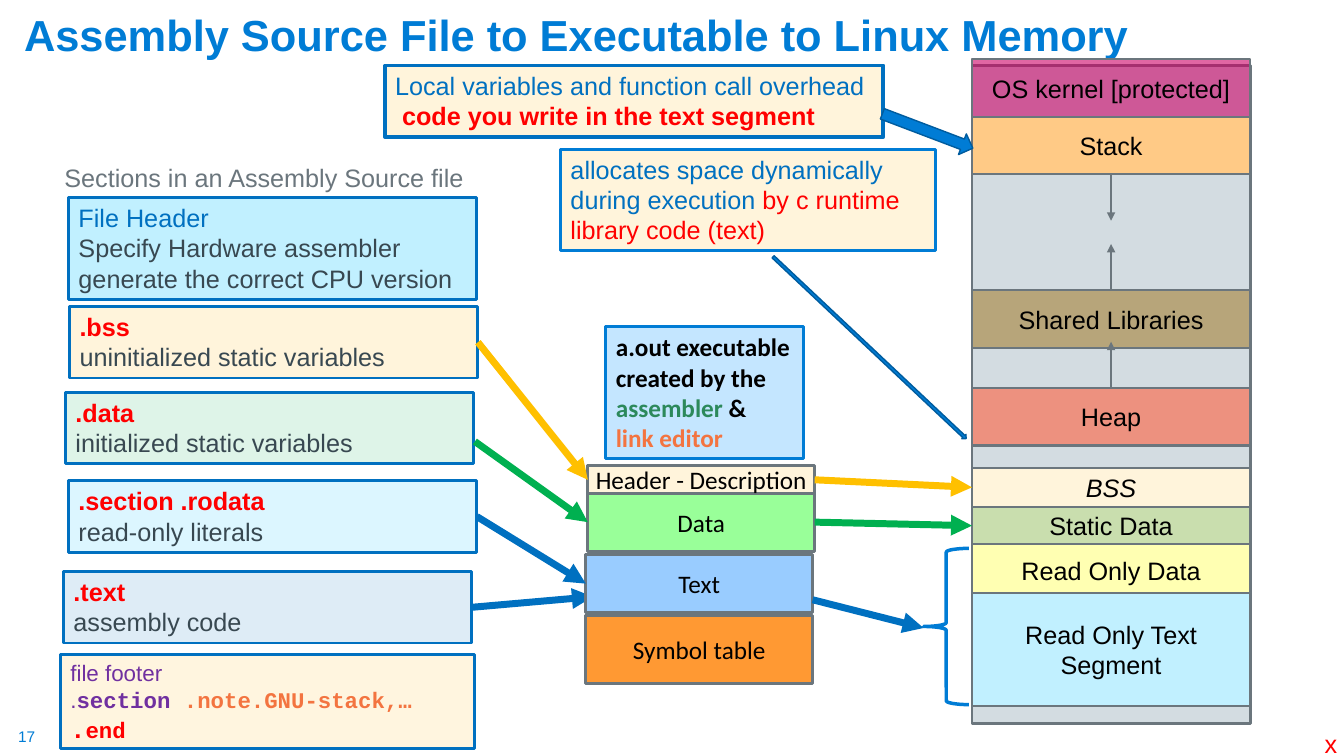
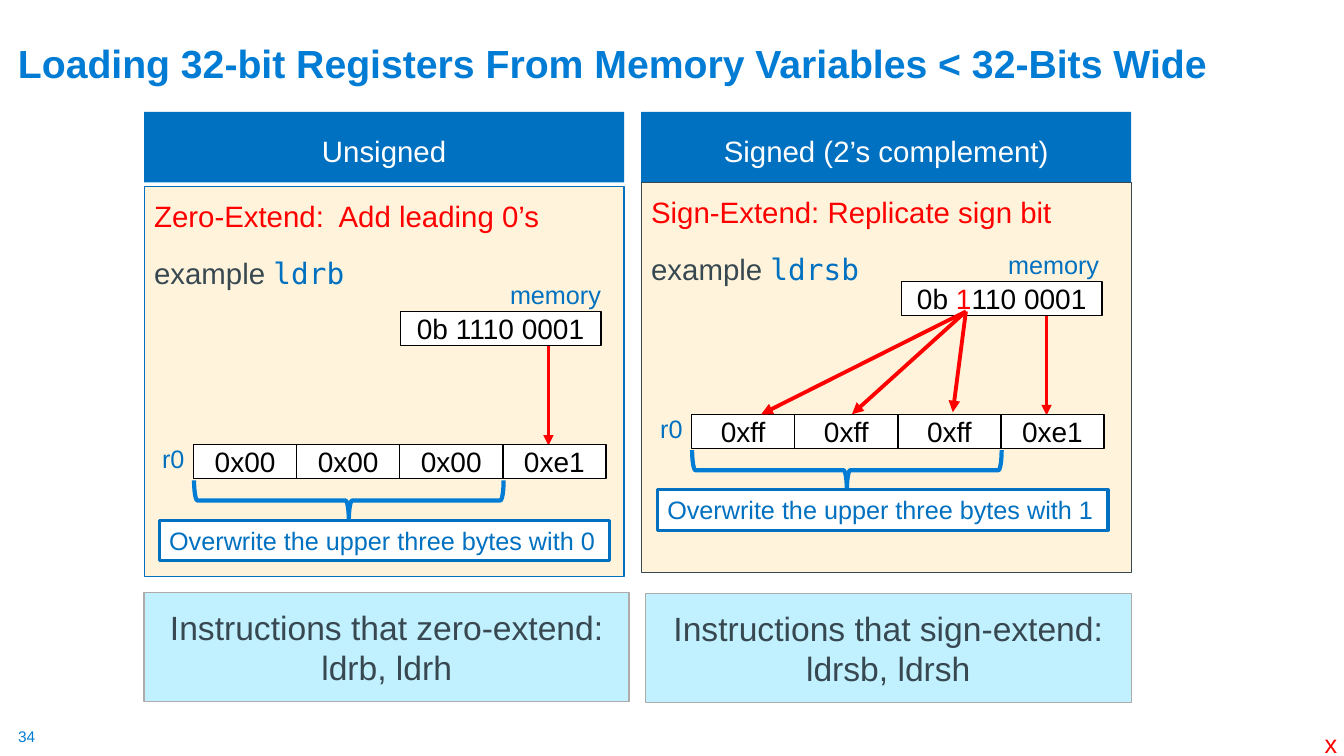
from dataclasses import dataclass
from typing import NamedTuple

from lxml import etree
from pptx import Presentation
from pptx import util as u
from pptx.dml.color import RGBColor
from pptx.enum import shapes, text
from pptx.oxml import ns


@dataclass(frozen=True)
class Theme:
    title: str = "007CD5"
    blue: str = "0070C0"
    arrow_edge: str = "005C9E"
    red: str = "FF0000"
    green: str = "00B050"
    gold: str = "FFC000"
    orange: str = "F37440"
    purple: str = "7030A0"
    leaf: str = "2C895B"
    ink: str = "384851"
    grey: str = "6B767D"
    silver: str = "AFABAB"
    black: str = "000000"
    white: str = "FFFFFF"
    cream: str = "FFF4DB"
    sky: str = "C1F0FF"
    pale: str = "C4E6FF"
    memory: str = "D3DCE1"
    sans: str = "Arial"
    label: str = "Calibri"
    code: str = "Courier New"
    mono: str = "DejaVu Sans Mono"
    tiny: int = 11
    small: int = 16
    body: int = 18
    value: int = 20
    lead: int = 21
    large: int = 24


T = Theme()
RECT = shapes.MSO_SHAPE.RECTANGLE
BRACE = shapes.MSO_SHAPE.LEFT_BRACE
BLOCK_ARROW = shapes.MSO_SHAPE.RIGHT_ARROW
CENTER = text.PP_ALIGN.CENTER
MIDDLE = text.MSO_ANCHOR.MIDDLE
TOP, LEFT, BOTTOM, RIGHT = range(4)


class Run(NamedTuple):
    text: str
    color: str = T.black
    size: int = T.body
    font: str = T.sans
    bold: bool = False
    italic: bool = False


class Joint(NamedTuple):
    shape: object
    side: int


def rgb(color):
    return RGBColor.from_string(color)


def write(sp, paras, align=None, anchor=text.MSO_ANCHOR.TOP, wrap=True, spacing=None, before=0):
    tf = sp.text_frame
    tf.word_wrap = wrap
    tf.vertical_anchor = anchor
    for i, runs in enumerate(paras):
        p = tf.add_paragraph() if i else tf.paragraphs[0]
        p.alignment = align or text.PP_ALIGN.LEFT
        if spacing:
            p.line_spacing = spacing
        if i and before:
            p.space_before = u.Pt(before)
        for run in runs:
            r = p.add_run()
            r.text = run.text
            r.font.name = run.font
            r.font.size = u.Pt(run.size)
            r.font.bold = run.bold
            r.font.italic = run.italic
            r.font.color.rgb = rgb(run.color)


def box(slide, at, paras=(), fill=None, line=None, weight=1, kind=RECT,
        opacity=None, rotation=0, **layout):
    sp = slide.shapes.add_shape(kind, *map(u.Inches, at))
    sp.shadow.inherit = False
    sp.rotation = rotation
    if fill:
        sp.fill.solid()
        sp.fill.fore_color.rgb = rgb(fill)
        if opacity:
            color = sp.fill._xPr.find(".//" + ns.qn("a:srgbClr"))
            etree.SubElement(color, ns.qn("a:alpha"), val=str(opacity * 1000))
    else:
        sp.fill.background()
    if line:
        sp.line.color.rgb = rgb(line)
        sp.line.width = u.Pt(weight)
    else:
        sp.line.fill.background()
    if paras:
        write(sp, paras, **layout)
    return sp


def caption(slide, at, run, margin=None, **layout):
    sp = slide.shapes.add_textbox(*map(u.Inches, at))
    tf = sp.text_frame
    if margin is not None:
        tf.margin_left = tf.margin_right = tf.margin_top = tf.margin_bottom = margin
    write(sp, [[run]], **layout)


def arrow(slide, start, end, color, weight):
    points = [(0, 0) if isinstance(e, Joint) else e for e in (start, end)]
    cx = slide.shapes.add_connector(
        shapes.MSO_CONNECTOR.STRAIGHT, *(u.Inches(v) for pt in points for v in pt))
    if isinstance(start, Joint):
        cx.begin_connect(start.shape, start.side)
    if isinstance(end, Joint):
        cx.end_connect(end.shape, end.side)
    cx.line.color.rgb = rgb(color)
    cx.line.width = u.Pt(weight)
    etree.SubElement(cx.line._get_or_add_ln(), ns.qn("a:tailEnd"), type="triangle")
    etree.SubElement(cx._element.spPr, ns.qn("a:effectLst"))


def add_slide(prs, number, title, at, size):
    slide = prs.slides.add_slide(prs.slide_layouts[6])
    caption(slide, (0.18, 7.21, 0.19, 0.19), Run(number, T.title, T.tiny), margin=0, wrap=False)
    caption(slide, at, Run(title, T.title, size, bold=True),
            anchor=text.MSO_ANCHOR.BOTTOM, spacing=0.9)
    caption(slide, (13.04, 7.18, 0.33, 0.4), Run("x", T.red), wrap=False)
    return slide


def memory_column(slide):
    left, width = 9.64, 2.76
    box(slide, (left, 0.65, width, 6.53), fill=T.memory, line=T.grey, weight=2)
    segments = [
        ("OS kernel [protected]", 0.59, 0.57, "CC0066", 60),
        ("Stack", 1.16, 0.57, "FFCA86", None),
        ("Shared Libraries", 2.88, 0.57, "B7A57A", None),
        ("Heap", 3.85, 0.57, "ED917F", None),
        ("Static Data", 5.02, 0.39, "C9DEAE", None),
        ("BSS", 4.64, 0.39, T.cream, None),
        ("Read Only Data", 5.4, 0.52, "FFFFB2", None),
        ("Read Only Text Segment", 5.88, 1.12, T.sky, None),
    ]
    column = {
        name: box(slide, (left, top, width, height), [[Run(name, italic=name == "BSS")]],
                  fill, T.grey, 1.5, opacity=opacity, align=CENTER, anchor=MIDDLE)
        for name, top, height, fill, opacity in segments
    }
    middle = left + width / 2
    for name, side, tip in (("Stack", BOTTOM, 2.19), ("Shared Libraries", TOP, 2.42),
                            ("Heap", TOP, 3.39)):
        arrow(slide, Joint(column[name], side), (middle, tip), T.grey, 2)
    return column


def source_sections(slide):
    caption(slide, (0.54, 1.56, 4.21, 0.4),
            Run("Sections in an Assembly Source file", T.grey), wrap=False)
    box(slide, (0.68, 1.96, 4.05, 1.01),
        [[Run("File Header", T.blue)],
         [Run("Specify Hardware assembler generate the correct CPU version", T.ink)]],
        T.sky, T.blue, 2)
    rows = [
        (".bss", "uninitialized static variables", 0.69, 3.04, T.cream, None),
        (".data", "initialized static variables", 0.65, 3.89, T.green, 13),
        (".section .rodata", "read-only literals", 0.68, 4.77, T.sky, 56),
        (".text", "assembly code", 0.63, 5.67, T.blue, 13),
    ]
    sections = {
        name: box(slide, (left, top, 4.05, 0.71),
                  [[Run(name, T.red, bold=True)], [Run(detail, T.ink)]],
                  fill, T.blue, 2, opacity=opacity)
        for name, detail, left, top, fill, opacity in rows
    }
    box(slide, (0.6, 6.49, 4.11, 0.94),
        [[Run("file footer", T.purple, T.small)],
         [Run(".", T.purple, T.small),
          Run("section ", T.purple, T.small, T.code, True),
          Run(".note.GNU-stack,…", T.orange, T.small, T.code, True)],
         [Run(".", T.red, T.body, T.code, True), Run("end", T.red, T.small, T.code, True)]],
        T.cream, T.blue, 2, opacity=88)
    return sections


def executable(slide):
    box(slide, (6.01, 3.24, 1.96, 1.31),
        [[Run("a.out executable", font=T.label, bold=True)],
         [Run("created by the ", font=T.label, bold=True),
          Run("assembler", T.leaf, font=T.label, bold=True),
          Run(" &", font=T.label, bold=True)],
         [Run("link editor", T.orange, font=T.label, bold=True)]],
        T.pale, T.title, 2.25)
    parts = [
        ("Text", 5.81, 5.5, 0.58, "99CCFF"),
        ("Symbol table", 5.81, 6.11, 0.67, "FF9933"),
        ("Data", 5.83, 4.89, 0.58, "99FF99"),
        ("Header - Description", 5.83, 4.62, 0.28, T.cream),
    ]
    return {
        name: box(slide, (left, top, 2.25, height), [[Run(name, font=T.label)]],
                  fill, T.grey, 2.25, align=CENTER, anchor=MIDDLE, wrap=False)
        for name, left, top, height, fill in parts
    }


def build_memory_map(prs):
    slide = add_slide(prs, "17", "Assembly Source File to Executable to Linux Memory",
                      (0.14, 0.21, 13.04, 0.44), 31)
    box(slide, (3.82, 0.65, 4.94, 0.71),
        [[Run("Local variables and function call overhead", T.blue)],
         [Run(" ", T.red), Run("code you write in the text segment", T.red, bold=True)]],
        T.cream, T.blue, 2.75)
    box(slide, (5.56, 1.48, 3.72, 1.01),
        [[Run("allocates space dynamically during execution ", T.blue),
          Run("by c runtime library code (text)", T.red)]],
        T.cream, T.title, 2.25)
    column = memory_column(slide)
    for at, angle in (((8.72, 1.19, 0.96, 0.22), 20.8), ((7.31, 3.42, 2.63, 0.06), 43.3)):
        box(slide, at, fill=T.title, line=T.arrow_edge, kind=BLOCK_ARROW, rotation=angle)
    sections = source_sections(slide)
    arrow(slide, Joint(sections[".text"], RIGHT), (5.88, 5.92), T.blue, 5)
    parts = executable(slide)
    header = parts["Header - Description"]
    for start, end, color in (
        (sections[".bss"], header, T.gold),
        (sections[".section .rodata"], parts["Text"], T.blue),
        (parts["Data"], column["Static Data"], T.green),
        (header, column["BSS"], T.gold),
    ):
        arrow(slide, Joint(start, RIGHT), Joint(end, LEFT), color, 5)
    arrow(slide, (4.71, 4.38), Joint(parts["Data"], LEFT), T.green, 5)
    arrow(slide, (8.06, 5.95), (9.16, 6.23), T.blue, 5)
    box(slide, (9.16, 5.44, 0.45, 1.55), line=T.title, weight=2.5, kind=BRACE)


def panel(slide, heading, rule, example, left, width, top, edge):
    box(slide, (left, 1.11, width, 0.7), [[Run(heading, T.white, T.lead)]],
        T.blue, align=CENTER, anchor=MIDDLE, spacing=1.2)
    box(slide, (left, top, width, 3.87),
        [[Run(rule, T.red, T.lead)],
         [Run("example ", T.ink, T.lead), Run(example, T.blue, T.lead, T.mono)]],
        T.cream, edge, 0.75, spacing=1.2, before=10)


def summary(slide, at, lines):
    box(slide, at, [[Run(line, T.ink, T.large)] for line in lines],
        T.sky, T.silver, align=CENTER, anchor=MIDDLE)


def value_box(slide, at, runs):
    box(slide, at, [runs], T.white, T.black, align=CENTER, anchor=MIDDLE)


def register(slide, x, y, values, memory_x, memory_runs, note):
    arrow(slide, (x + 3.52, y - 0.99), (x + 3.52, y + 0.01), T.red, 2.5)
    value_box(slide, (memory_x, y - 1.32, 1.99, 0.34), memory_runs)
    cell = 4.09 / len(values)
    for i, value in enumerate(values):
        value_box(slide, (x + i * cell, y, cell, 0.34), [Run(value, size=T.value)])
    box(slide, (x + 1.34, y - 0.98, 0.4, 3.07), line=T.title, weight=3, kind=BRACE, rotation=270)
    caption(slide, (x + 3.04, y - 1.69, 1.11, 0.4), Run("memory", T.blue), wrap=False)
    caption(slide, (x - 0.41, y - 0.06, 0.43, 0.4), Run("r0", T.blue), wrap=False)
    box(slide, (x - 0.34, y + 0.75, 4.47, 0.4), [[Run(note, T.blue)]],
        T.white, T.blue, 2.25, wrap=False)


def build_loading(prs):
    slide = add_slide(prs, "34", "Loading 32-bit Registers From Memory Variables < 32-Bits Wide",
                      (0.08, 0.13, 13.16, 0.78), 28)
    panel(slide, "Unsigned", "Zero-Extend:  Add leading 0’s", "ldrb", 1.43, 4.76, 1.85, T.blue)
    panel(slide, "Signed (2’s complement)", "Sign-Extend: Replicate sign bit", "ldrsb",
          6.36, 4.86, 1.81, T.ink)
    summary(slide, (1.43, 5.88, 4.81, 1.08), ("Instructions that zero-extend:", "ldrb, ldrh"))
    summary(slide, (6.4, 5.89, 4.82, 1.08), ("Instructions that sign-extend:", "ldrsb, ldrsh"))
    register(slide, 1.92, 4.41, ["0x00"] * 3 + ["0xe1"], 3.97,
             [Run("0b 1110 0001", size=T.value)], "Overwrite the upper three bytes with 0")
    register(slide, 6.86, 4.11, ["0xff"] * 3 + ["0xe1"], 8.94,
             [Run("0b ", size=T.value), Run("1", T.red, T.value), Run("110 0001", size=T.value)],
             "Overwrite the upper three bytes with 1")
    for tip in ((7.55, 4.11), (8.45, 4.11), (9.45, 4.09)):
        arrow(slide, (9.58, 3.09), tip, T.red, 2.75)


def main():
    prs = Presentation()
    prs.slide_width, prs.slide_height = u.Inches(13.33), u.Inches(7.5)
    build_memory_map(prs)
    build_loading(prs)
    prs.save("out.pptx")


if __name__ == "__main__":
    main()
